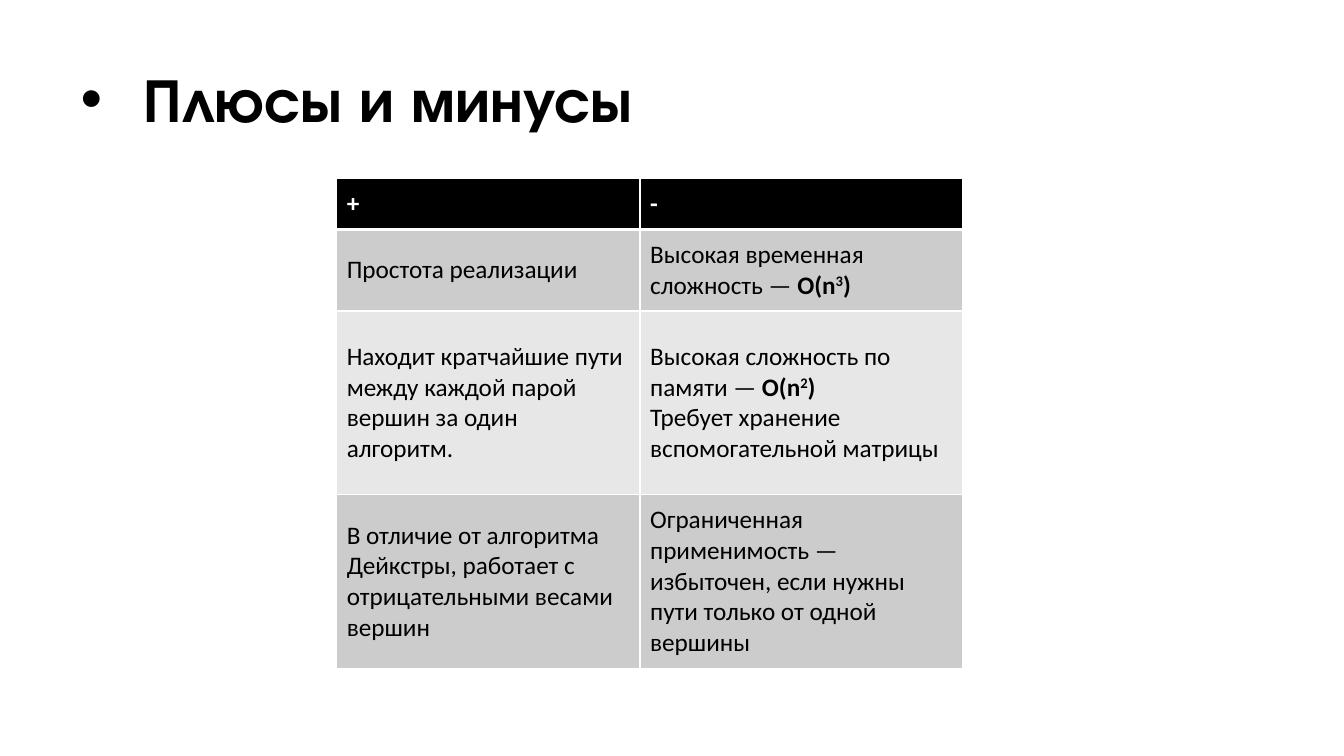
from lxml.etree import SubElement
from pptx import Presentation
from pptx.dml.color import RGBColor
from pptx.enum.text import MSO_ANCHOR as Anchor, PP_ALIGN as Align
from pptx.oxml.ns import qn
from pptx.util import Pt

BLACK = RGBColor(0x00, 0x00, 0x00)
WHITE = RGBColor(0xFF, 0xFF, 0xFF)
DARK_BAND = RGBColor(0xCC, 0xCC, 0xCC)
LIGHT_BAND = RGBColor(0xE7, 0xE7, 0xE7)

TITLE_FONT = "TeX Gyre Adventor"
TABLE_FONT = "Calibri"
COLUMN_WIDTHS = (216.72, 230.4)
ROW_HEIGHTS = (36, 56.88, 131.04, 120.96)
ROW_FILLS = (BLACK, DARK_BAND, LIGHT_BAND, DARK_BAND)

# Each cell is a list of spans: (text, style), with style "", "bold" or "power".
# A span of "\n" is a line break.
ROWS = (
    ([("+", "bold")], [("-", "bold")]),
    (
        [("Простота реализации", "")],
        [("Высокая временная сложность — ", ""),
         ("O(n", "bold"), ("3", "power"), (")", "bold")],
    ),
    (
        [("Находит кратчайшие пути между каждой парой вершин за один алгоритм.", "")],
        [("Высокая сложность по памяти — ", ""),
         ("O(n", "bold"), ("2", "power"), (")", "bold"), ("\n", ""),
         ("Требует хранение вспомогательной матрицы", "")],
    ),
    (
        [("В отличие от алгоритма Дейкстры, работает с отрицательными весами вершин", "")],
        [("Ограниченная применимость —избыточен, если нужны пути только от одной вершины", "")],
    ),
)


def add_span(para, text, font, size, color, bold):
    span = para.add_run()
    span.text = text
    span.font.name = font
    span.font.size = Pt(size)
    span.font.color.rgb = color
    span.font.bold = bold
    return span


def add_bullet(para, indent):
    """Give the paragraph a round bullet with a hanging indent."""
    props = para._p.get_or_add_pPr()
    props.set("marL", str(Pt(indent)))
    props.set("indent", str(-Pt(indent)))
    SubElement(props, qn("a:buFont")).set("typeface", "Arial")
    SubElement(props, qn("a:buChar")).set("char", "•")


def fill_title(title, text):
    title.left, title.top = Pt(50.4), Pt(20.88)
    title.width, title.height = Pt(828), Pt(104.4)
    frame = title.text_frame
    frame.word_wrap = True
    frame.vertical_anchor = Anchor.MIDDLE
    para = frame.paragraphs[0]
    para.alignment = Align.LEFT
    para.line_spacing = 0.9
    add_bullet(para, 45)
    add_span(para, text, TITLE_FONT, 44, BLACK, True)


def set_border(cell, side, width):
    line = SubElement(cell._tc.get_or_add_tcPr(), qn(f"a:ln{side}"), w=str(Pt(width)))
    fill = SubElement(line, qn("a:solidFill"))
    SubElement(fill, qn("a:srgbClr")).set("val", str(WHITE))


def fill_cell(cell, spans, row):
    widths = {"L": 1, "R": 1, "T": 3 if row == 1 else 1, "B": 3 if row == 0 else 1}
    for side, width in widths.items():
        set_border(cell, side, width)
    cell.fill.solid()
    cell.fill.fore_color.rgb = ROW_FILLS[row]
    cell.vertical_anchor = Anchor.MIDDLE
    cell.margin_left = cell.margin_right = Pt(7.2)
    cell.margin_top = cell.margin_bottom = Pt(7.2)
    para = cell.text_frame.paragraphs[0]
    color = WHITE if row == 0 else BLACK
    for text, style in spans:
        if text == "\n":
            para.add_line_break()
            continue
        span = add_span(para, text, TABLE_FONT, 18, color, style != "")
        if style == "power":
            span._r.get_or_add_rPr().set("baseline", "30000")


def add_comparison(page):
    table = page.shapes.add_table(
        len(ROWS), len(COLUMN_WIDTHS), Pt(240.48), Pt(127.44),
        Pt(sum(COLUMN_WIDTHS)), Pt(sum(ROW_HEIGHTS)),
    ).table
    table.horz_banding = False
    for column, width in zip(table.columns, COLUMN_WIDTHS):
        column.width = Pt(width)
    for row, (cells, height) in enumerate(zip(ROWS, ROW_HEIGHTS)):
        table.rows[row].height = Pt(height)
        for column, spans in enumerate(cells):
            fill_cell(table.cell(row, column), spans, row)


def main():
    deck = Presentation()
    deck.slide_width, deck.slide_height = Pt(960), Pt(540)
    page = deck.slides.add_slide(deck.slide_layouts[5])
    fill_title(page.shapes.title, "Плюсы и минусы")
    add_comparison(page)
    deck.save("out.pptx")


if __name__ == "__main__":
    main()
